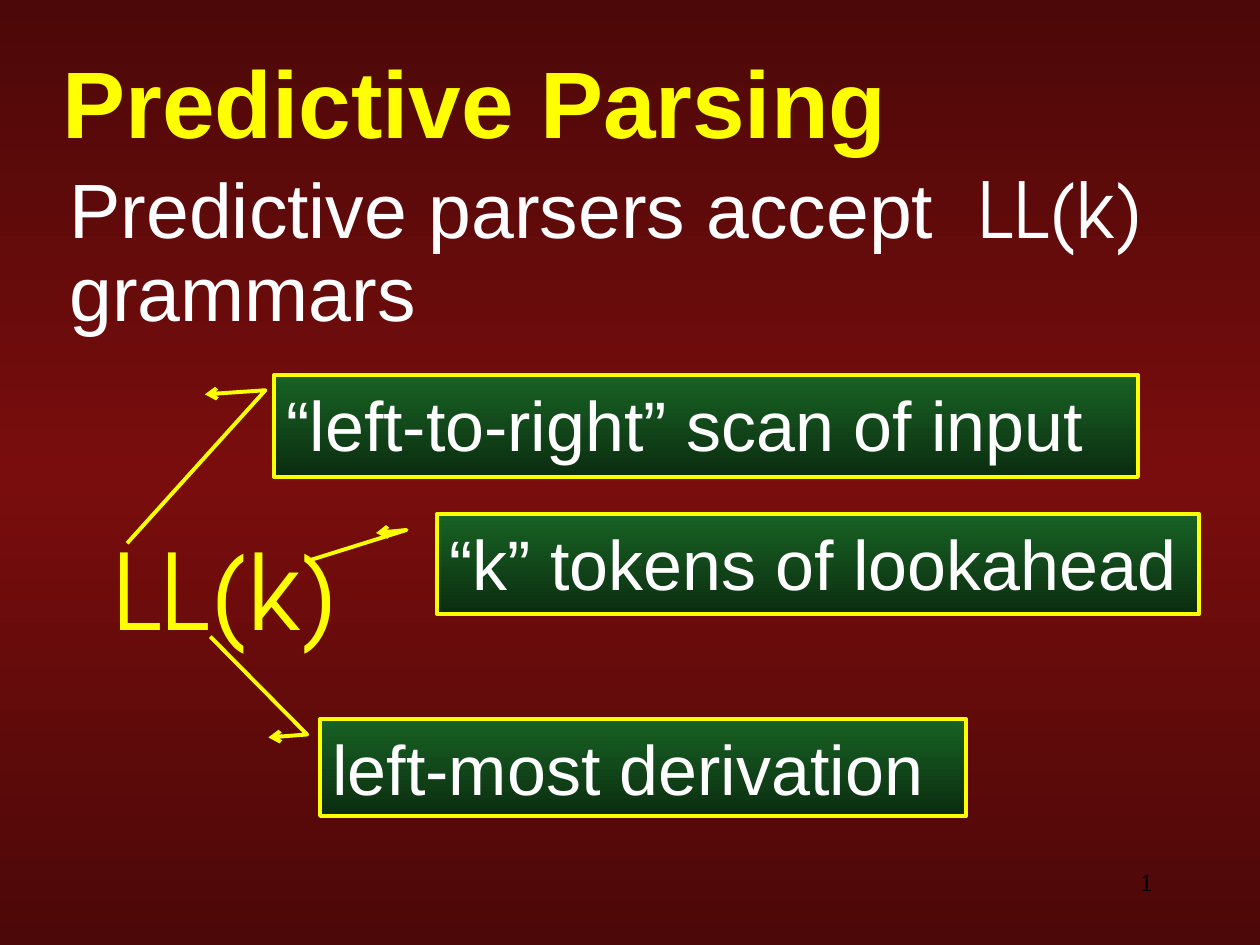
from lxml.etree import SubElement as Sub
from pptx import Presentation
from pptx.dml.color import RGBColor as RGB
from pptx.enum.shapes import MSO_SHAPE as SHAPE
from pptx.enum.text import MSO_ANCHOR as ANCHOR, PP_ALIGN as ALIGN
from pptx.oxml.ns import qn
from pptx.util import Pt

SCALE = 914400 / 126
HEX = {
    "edge": "4C0808", "mid": "790D0D", "top": "186224", "base": "0B2D10",
    "gold": "FFFF00", "white": "FFFFFF", "black": "000000", "glow": "CCCCFF",
}
SANS, ROUND = "Arial", "TeX Gyre Adventor"


def px(n):
    return round(n * SCALE)


def color(name):
    return RGB.from_string(HEX[name])


def style(font, size, name, tint, bold=False):
    font.size, font.name, font.bold = Pt(size), name, bold
    font.color.rgb = color(tint)


def place(shape, box):
    shape.left, shape.top, shape.width, shape.height = map(px, box)


def blend(fill, node, names):
    """Fill from top to bottom with evenly spaced colours."""
    fill.gradient()
    fill.gradient_angle = 270
    stops = node.find(".//" + qn("a:gsLst"))
    for old in list(stops):
        stops.remove(old)
    for i, name in enumerate(names):
        stop = Sub(stops, qn("a:gs"), pos=str(i * 100000 // (len(names) - 1)))
        Sub(stop, qn("a:srgbClr"), val=HEX[name])


def add_title(slide, text, box):
    title = slide.shapes.title
    place(title, box)
    frame = title.text_frame
    frame.text, frame.vertical_anchor = text, ANCHOR.MIDDLE
    para = frame.paragraphs[0]
    para.alignment = ALIGN.LEFT
    style(para.font, 54, SANS, "gold", True)
    # Thin pale shadow behind the letters
    props = para.runs[0].font._element
    cast = Sub(Sub(props, qn("a:effectLst")), qn("a:outerShdw"),
               dist="17961", dir="2700000")
    Sub(cast, qn("a:srgbClr"), val=HEX["glow"])


def add_text(slide, box):
    frame = slide.shapes.add_textbox(*map(px, box)).text_frame
    frame.word_wrap = True
    return frame.paragraphs[0]


def add_note(slide, text, box, bends):
    """Boxed callout; bends are the y, x pairs of its pointer."""
    note = slide.shapes.add_shape(SHAPE.LINE_CALLOUT_2, *map(px, box))
    for i, bend in enumerate(bends):
        note.adjustments[i] = bend
    note.shadow.inherit = False
    blend(note.fill, note._element, ["top", "base"])
    note.line.color.rgb, note.line.width = color("gold"), Pt(2.25)
    # Arrowhead where the pointer meets the box
    Sub(note.line._get_or_add_ln(), qn("a:headEnd"), type="arrow")
    frame = note.text_frame
    frame.text, frame.vertical_anchor = text, ANCHOR.TOP
    frame.word_wrap = True
    para = frame.paragraphs[0]
    para.alignment = ALIGN.LEFT
    style(para.font, 40, SANS, "white")


def add_number(slide, box):
    para = add_text(slide, box)
    para.alignment = ALIGN.RIGHT
    style(para.font, 14, "Times New Roman", "black")
    field = Sub(para._p, qn("a:fld"), type="slidenum",
                id="{B6F15528-21DE-4FAA-801E-634DDDAF4B2B}")
    Sub(field, qn("a:rPr"), lang="en-US", sz="1400")
    Sub(field, qn("a:t")).text = "3"


def main():
    deck = Presentation()
    deck.slide_width, deck.slide_height = px(1260), px(945)
    slide = deck.slides.add_slide(deck.slide_layouts[5])
    blend(slide.background.fill, slide._element, ["edge", "mid", "edge"])

    # Heading and statement
    add_title(slide, "Predictive Parsing", (50, 48, 1260, 105))
    para = add_text(slide, (57, 166, 1139, 190))
    para.line_spacing = 0.9
    for text, name in (("Predictive parsers accept  ", SANS),
                       ("LL(k)", ROUND), (" grammars", SANS)):
        run = para.add_run()
        run.text = text
        style(run.font, 44, name, "white")

    # Term in the middle, with a callout for each of its letters
    add_note(slide, "“left-to-right” scan of input", (274, 375, 864, 102),
             (0.19, -0.08, 0.15, -0.01, 1.65, -0.17))
    add_note(slide, "left-most derivation", (320, 719, 646, 97),
             (0.19, -0.08, 0.16, -0.02, -0.85, -0.17))
    para = add_text(slide, (100, 519, 290, 139))
    para.text = "LL(k)"
    style(para.font, 60, ROUND, "gold")
    add_note(slide, "“k” tokens of lookahead", (437, 514, 762, 100),
             (0.19, -0.08, 0.16, -0.04, 0.47, -0.17))

    add_number(slide, (903, 861, 262, 63))
    deck.save("out.pptx")


if __name__ == "__main__":
    main()
